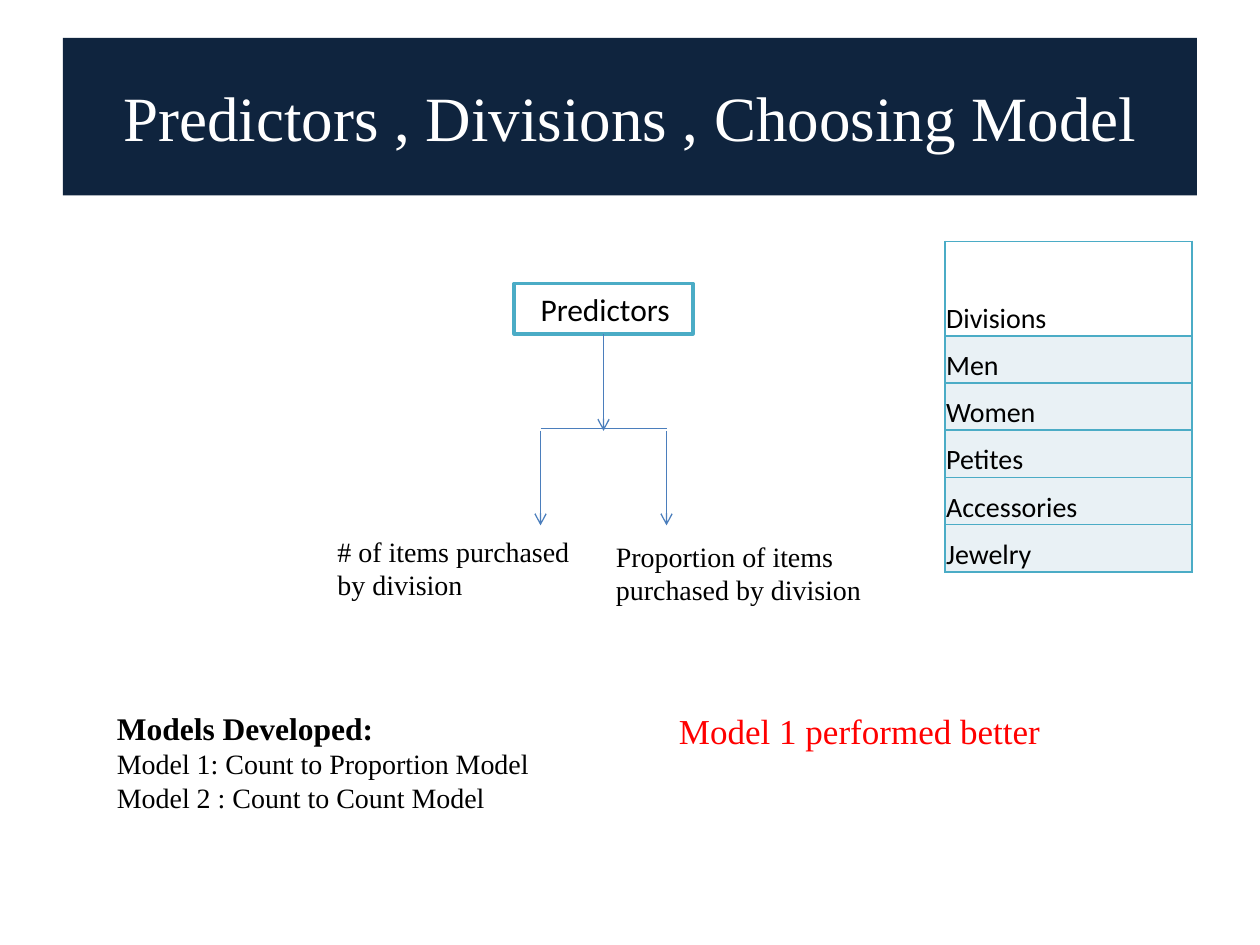
from lxml.etree import SubElement
from pptx import Presentation
from pptx.dml.color import RGBColor
from pptx.enum.shapes import MSO_CONNECTOR, MSO_SHAPE
from pptx.enum.text import MSO_ANCHOR, PP_ALIGN
from pptx.oxml.ns import qn
from pptx.util import Inches, Pt

NAVY = RGBColor(0x0F, 0x24, 0x3E)
TEAL = RGBColor(0x4B, 0xAC, 0xC6)
BLUE = RGBColor(0x4B, 0x7E, 0xBC)
PALE = RGBColor(0xE9, 0xF1, 0xF5)
WHITE = RGBColor(0xFF, 0xFF, 0xFF)
BLACK = RGBColor(0, 0, 0)
RED = RGBColor(0xFF, 0, 0)
SERIF, SANS = "Times New Roman", "Calibri"


def grid(units):
    """Turn columns or rows of half an inch into a length."""
    return Inches(units * 0.5)


class SlideBuilder:
    def __init__(self, slide):
        self.slide = slide

    def fill_text(self, frame, lines, size, font=SERIF, color=BLACK, align=PP_ALIGN.LEFT):
        frame.text = "\n".join(lines)
        for para in frame.paragraphs:
            para.alignment = align
            for span in para.runs:
                span.font.size = Pt(size)
                span.font.name = font
                span.font.color.rgb = color

    def text(self, column, row, width, height, lines, size, color=BLACK):
        box = self.slide.shapes.add_textbox(*map(grid, (column, row, width, height)))
        box.text_frame.word_wrap = True
        self.fill_text(box.text_frame, lines, size, color=color)
        return box

    def panel(self, column, row, width, height, fill, line=None):
        box = self.slide.shapes.add_shape(
            MSO_SHAPE.RECTANGLE, *map(grid, (column, row, width, height)))
        box.shadow.inherit = False
        box.fill.solid()
        box.fill.fore_color.rgb = fill
        if line is None:
            box.line.fill.background()
        else:
            box.line.color.rgb = line
            box.line.width = Pt(2)
        box.text_frame.word_wrap = True
        box.text_frame.vertical_anchor = MSO_ANCHOR.MIDDLE
        return box

    def line(self, start, end, arrow=False):
        connector = self.slide.shapes.add_connector(
            MSO_CONNECTOR.STRAIGHT, *map(grid, start + end))
        connector.line.color.rgb = BLUE
        connector.line.width = Pt(0.75)
        properties = connector._element.spPr
        if arrow:
            SubElement(properties.find(qn("a:ln")), qn("a:tailEnd"), type="arrow")
        SubElement(properties, qn("a:effectLst"))

    def border(self, cell):
        properties = cell._tc.get_or_add_tcPr()
        for position, side in enumerate(("a:lnL", "a:lnR", "a:lnT", "a:lnB")):
            edge = properties.makeelement(qn(side), {"w": str(Pt(1))})
            fill = SubElement(edge, qn("a:solidFill"))
            SubElement(fill, qn("a:srgbClr"), val=str(TEAL))
            properties.insert(position, edge)

    def table(self, column, row, width, heights, labels):
        table = self.slide.shapes.add_table(
            len(labels), 1, *map(grid, (column, row, width, sum(heights)))).table
        for index, (label, height) in enumerate(zip(labels, heights)):
            table.rows[index].height = grid(height)
            cell = table.cell(index, 0)
            cell.margin_left = cell.margin_right = cell.margin_top = Inches(0.01)
            cell.margin_bottom = 0
            cell.vertical_anchor = MSO_ANCHOR.BOTTOM
            self.fill_text(cell.text_frame, [label], 16, SANS)
            if index == 0:
                cell.fill.background()
            else:
                cell.fill.solid()
                cell.fill.fore_color.rgb = PALE
            self.border(cell)


deck = Presentation()
deck.slide_width, deck.slide_height = grid(20), grid(15)
page = SlideBuilder(deck.slides.add_slide(deck.slide_layouts[6]))

# Title band
title = page.panel(1, 0.6, 18, 2.5, NAVY)
page.fill_text(title.text_frame, ["Predictors , Divisions , Choosing Model"], 36,
               color=WHITE, align=PP_ALIGN.CENTER)

# Predictor tree
center, spread = 9.58, 1
root = page.panel(center - 1.42, 4.5, 2.84, 0.8, WHITE, TEAL)
root.text_frame.margin_left = Inches(0.21)
root.text_frame.margin_right = 0
page.fill_text(root.text_frame, ["Predictors"], 18, SANS)
page.line((center, 5.3), (center, 6.84), arrow=True)
page.line((center - spread, 6.8), (center + spread, 6.8))
for branch in (center - spread, center + spread):
    page.line((branch, 6.84), (branch, 8.34), arrow=True)
page.text(5.16, 8.38, 4.42, 1.28, ["# of items purchased by division"], 16)
page.text(center, 8.46, 4.58, 1.28, ["Proportion of items purchased by division"], 16)

# Divisions table
divisions = ["Divisions", "Men", "Women", "Petites", "Accessories", "Jewelry"]
page.table(15, 3.83, 3.92, [1.5] + [0.75] * 5, divisions)

# Models and finding
models = page.text(1.66, 11.16, 7.92, 1.88, [
    "Models Developed:",
    "Model 1: Count to Proportion Model",
    "Model 2 : Count to Count Model"], 16)
heading = models.text_frame.paragraphs[0].runs[0].font
heading.size, heading.bold = Pt(18), True
page.text(10.58, 11.16, 6.42, 0.88, ["Model 1 performed better"], 20, RED)

deck.save("out.pptx")
